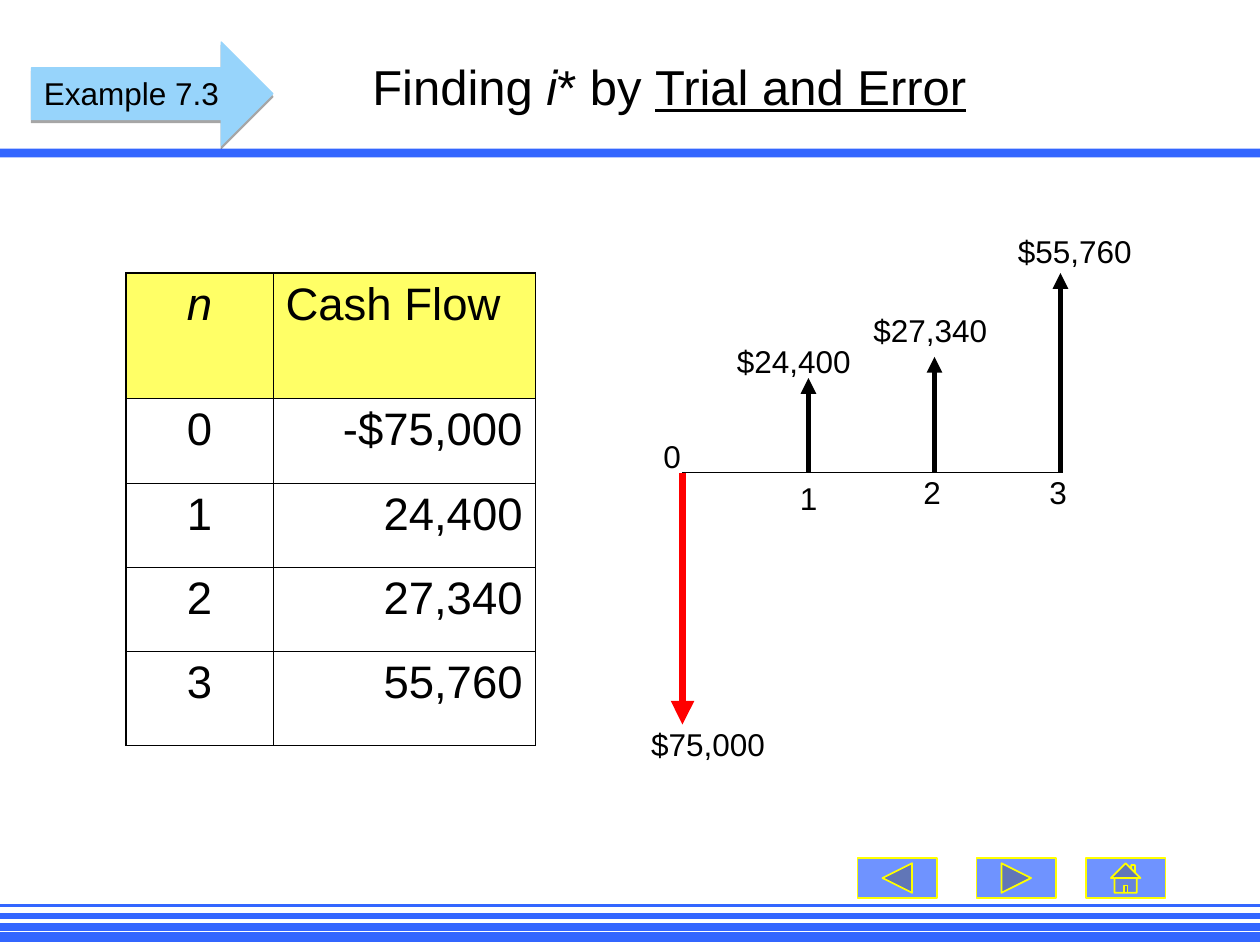
from lxml.etree import SubElement
from pptx import Presentation
from pptx.dml.color import RGBColor
from pptx.enum.shapes import MSO_CONNECTOR, MSO_SHAPE
from pptx.enum.text import MSO_ANCHOR, PP_ALIGN
from pptx.oxml.ns import qn
from pptx.util import Pt

BLACK, BLUE, RED, YELLOW = "000000", "3366FF", "FF0000", "FFFF00"
HEAD, SKY = "FFFF66", "97D4FB"
THIN, THICK = 0.45, 1.08


def color(code):
    return RGBColor.from_string(code)


def style(obj, form):
    for name, value in form.items():
        setattr(obj, name, value)


def node(parent, tag, **attrs):
    """Add an XML child such as a:ln with its attributes."""
    return SubElement(parent, qn(tag), {k: str(v) for k, v in attrs.items()})


def write(par, parts, size, align=PP_ALIGN.LEFT):
    """Fill a paragraph from (text, font format) pairs."""
    style(par, {"alignment": align})
    for text, form in parts:
        run = par.add_run()
        run.text = text
        style(run.font, {"name": "Arial", "size": Pt(size), **form})
        run.font.color.rgb = color(BLACK)


def add_text(slide, box, parts, size=18, align=PP_ALIGN.LEFT, **form):
    frame = slide.shapes.add_textbox(*map(Pt, box)).text_frame
    style(frame, {"word_wrap": True, **form})
    write(frame.paragraphs[0], parts, size, align)


def add_label(slide, left, top, text, width=84):
    add_text(slide, (left, top, width, 29), [(text, {})])


def add_line(slide, start, end, code, width, arrow=False):
    line = slide.shapes.add_connector(
        MSO_CONNECTOR.STRAIGHT, *map(Pt, start + end))
    line.line.color.rgb = color(code)
    line.line.width = Pt(width)
    if arrow:
        node(line.line._get_or_add_ln(), "a:tailEnd", type="triangle")
    node(line._element.spPr, "a:effectLst")


def add_shape(slide, kind, box, fill, edge=None, width=0.75):
    shape = slide.shapes.add_shape(kind, *map(Pt, box))
    shape.shadow.inherit = False
    shape.fill.solid()
    shape.fill.fore_color.rgb = color(fill)
    if edge:
        shape.line.color.rgb = color(edge)
        shape.line.width = Pt(width)
    else:
        shape.line.fill.background()
    return shape


def add_button(slide, kind, left):
    shape = add_shape(slide, kind, (left, 490.5, 45.5, 22.5), BLUE, YELLOW, 1)
    fill = shape._element.spPr.find(qn("a:solidFill"))
    node(fill[0], "a:alpha", val=70000)


def add_badge(slide):
    shape = add_shape(slide, MSO_SHAPE.RIGHT_ARROW, (18, 24, 138, 59), SKY, SKY)
    effects = shape._element.spPr.find(qn("a:effectLst"))
    shade = node(effects, "a:outerShdw", blurRad=0, dist=Pt(1.8),
                 dir=5400000, rotWithShape=0)
    node(node(shade, "a:srgbClr", val=BLACK), "a:alpha", val=35000)
    add_text(slide, (18, 39, 132, 29), [("Example 7.3", {})])


def set_edges(cell, widths):
    props = cell._tc.get_or_add_tcPr()
    for spot, (side, width) in enumerate(zip("LRTB", widths)):
        line = node(props, f"a:ln{side}", w=Pt(width))
        node(node(line, "a:solidFill"), "a:srgbClr", val=BLACK)
        props.insert(spot, line)


def add_flows(slide):
    """Table of cash flow by period."""
    rows = [("n", "Cash Flow"), ("0", "-$75,000"), ("1", "24,400"),
            ("2", "27,340"), ("3", "55,760")]
    table = slide.shapes.add_table(
        len(rows), 2, Pt(72), Pt(156), Pt(234), Pt(270)).table
    style(table, {"first_row": False, "horz_banding": False})
    for col, width in zip(table.columns, (84, 150)):
        col.width = Pt(width)
    for row, height in zip(table.rows, (71.5, 48.5, 48, 48, 54)):
        row.height = Pt(height)
    last = len(rows) - 1
    for r, texts in enumerate(rows):
        for c, text in enumerate(texts):
            cell = table.cell(r, c)
            if r == 0:
                cell.fill.solid()
                cell.fill.fore_color.rgb = color(HEAD)
            else:
                cell.fill.background()
            outer = (c == 0, c == 1, r == 0, r == last)
            set_edges(cell, [THICK if out else THIN for out in outer])
            if c == 0:
                align = PP_ALIGN.CENTER
            else:
                align = PP_ALIGN.RIGHT if r else PP_ALIGN.LEFT
            form = {"italic": True} if text == "n" else {}
            write(cell.text_frame.paragraphs[0], [(text, form)], 26, align)


def add_chart(slide):
    """Cash flow diagram: a time axis with one arrow per period."""
    left, base, step = 390, 270, 72
    add_line(slide, (left, base), (left + 3 * step, base), BLACK, 0.75)
    # arrow tip, period label place, amount, amount place
    flows = [(414, (372, 246), "$75,000", (365, 411)),
             (216, (450, 270), "$24,400", (414, 192)),
             (204, (520.5, 267), "$27,340", (492, 174)),
             (156, (592.5, 267), "$55,760", (574.5, 129))]
    for n, (tip, spot, amount, place) in enumerate(flows):
        x = left + n * step
        code, width = (RED, 4.5) if tip > base else (BLACK, 3)
        add_line(slide, (x, base), (x, tip), code, width, arrow=True)
        add_label(slide, *spot, str(n), 26)
        add_label(slide, *place, amount)


def add_frame(slide):
    """Title, rules and navigation buttons."""
    add_shape(slide, MSO_SHAPE.RECTANGLE, (0, 85, 720, 5), BLUE)
    for i in range(4):
        y = 517.5 + 6 * i
        add_line(slide, (0, y), (720, y), BLUE, 1.5 * (i + 1))
    for kind, left in ((MSO_SHAPE.ACTION_BUTTON_BACK_OR_PREVIOUS, 490),
                       (MSO_SHAPE.ACTION_BUTTON_FORWARD_OR_NEXT, 558),
                       (MSO_SHAPE.ACTION_BUTTON_HOME, 620.5)):
        add_button(slide, kind, left)
    parts = [("Finding ", {}), ("i", {"italic": True}), ("* by ", {}),
             ("Trial and Error", {"underline": True})]
    add_text(slide, (5, 4, 648, 90), parts, 28, PP_ALIGN.CENTER,
             margin_left=Pt(114), vertical_anchor=MSO_ANCHOR.MIDDLE)


def main():
    deck = Presentation()
    style(deck, {"slide_width": Pt(720), "slide_height": Pt(540)})
    slide = deck.slides.add_slide(deck.slide_layouts[6])
    add_frame(slide)
    add_flows(slide)
    add_chart(slide)
    add_badge(slide)
    deck.save("out.pptx")


if __name__ == "__main__":
    main()
